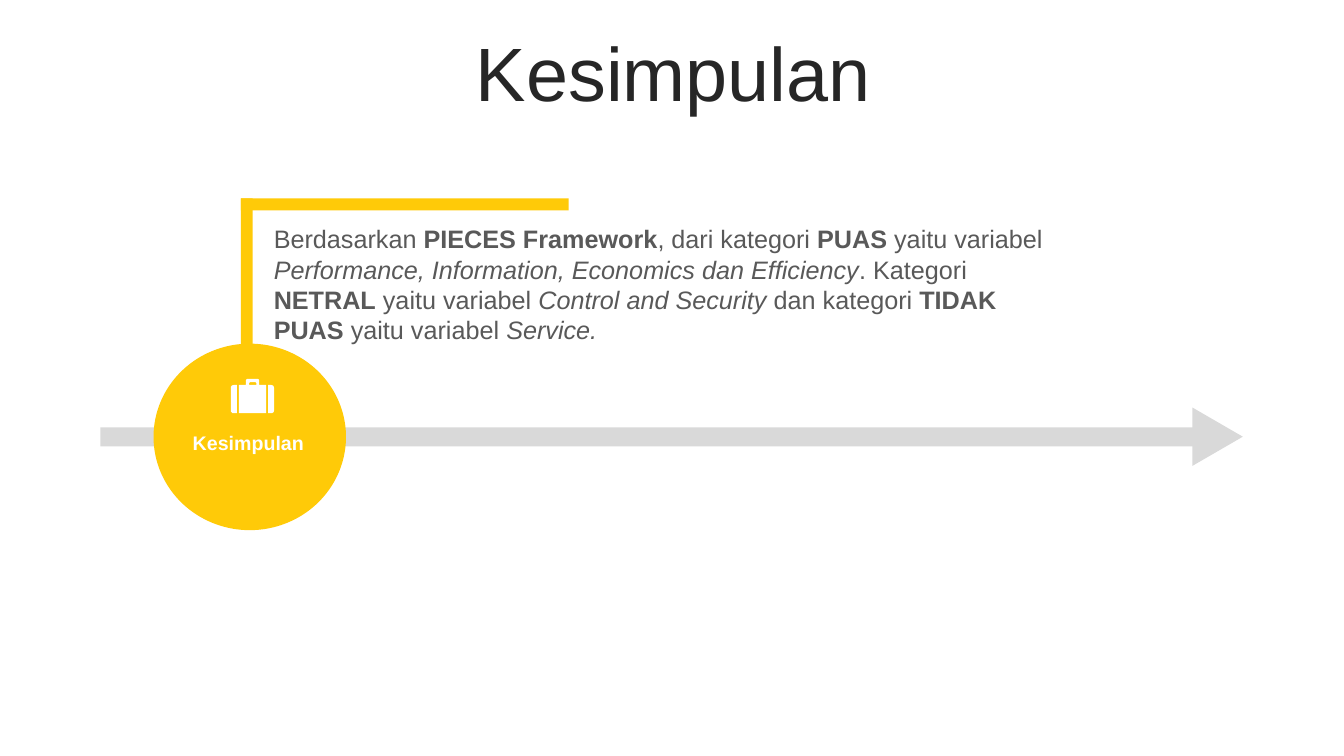
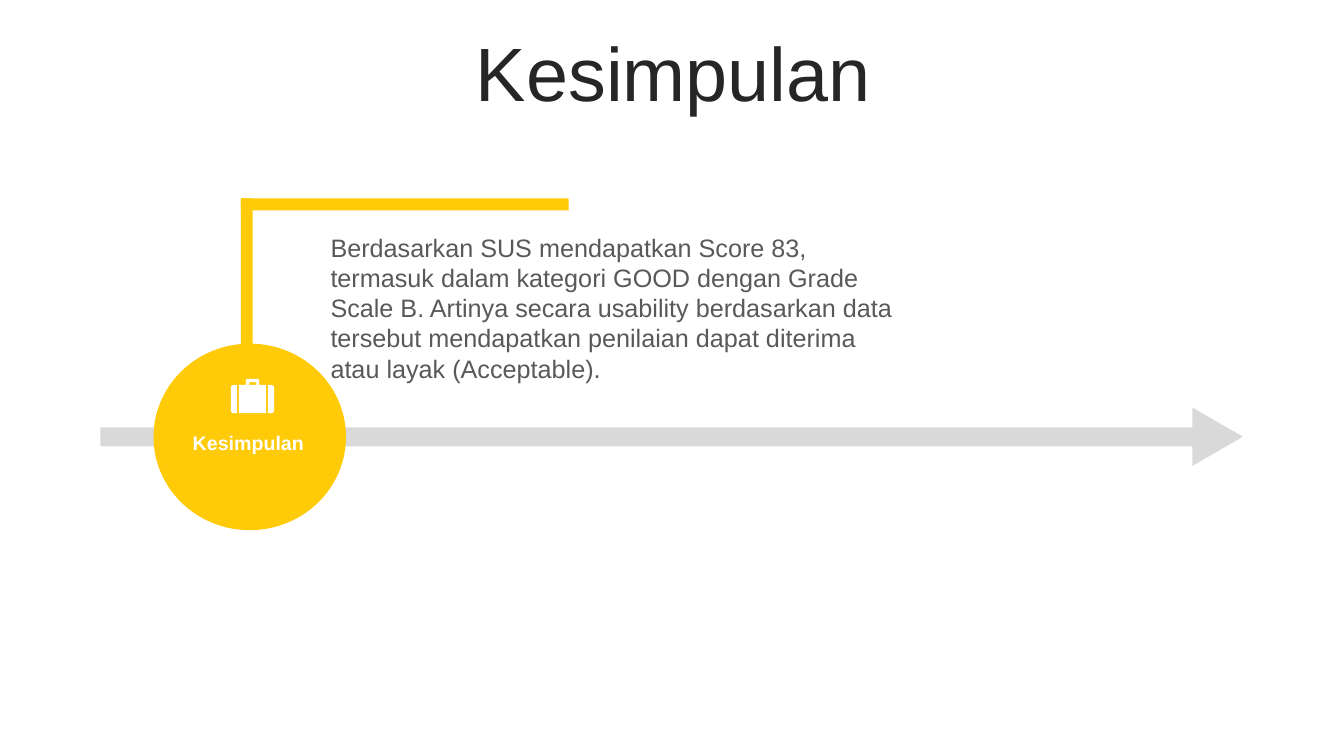
from pptx import Presentation
from pptx.dml.color import RGBColor
from pptx.enum.shapes import MSO_SHAPE
from pptx.enum.text import MSO_ANCHOR, MSO_AUTO_SIZE, PP_ALIGN
from pptx.util import Cm, Pt

RECTANGLE = MSO_SHAPE.RECTANGLE
OVAL = MSO_SHAPE.OVAL
TRIANGLE = MSO_SHAPE.ISOSCELES_TRIANGLE
LEFT, CENTER = PP_ALIGN.LEFT, PP_ALIGN.CENTER
MIDDLE = MSO_ANCHOR.MIDDLE
NO_AUTOFIT = MSO_AUTO_SIZE.NONE

YELLOW = RGBColor(0xFF, 0xCA, 0x08)
LIGHT_GRAY = RGBColor(0xD9, 0xD9, 0xD9)
TEXT_GRAY = RGBColor(0x59, 0x59, 0x59)
TITLE_GRAY = RGBColor(0x26, 0x26, 0x26)
WHITE = RGBColor(0xFF, 0xFF, 0xFF)

FONT = "Arial"
TITLE_ONLY = 5
BOLD = {"bold": True}
ITALIC = {"italic": True}

# Suitcase outlines: (x, y, corner radius), in hundredths of a centimetre
SUITCASE = [
    [(94, 15, 0), (109, 15, 8), (109, 86, 8), (94, 86, 0)],
    [(0, 15, 8), (15, 15, 0), (15, 86, 0), (0, 86, 8)],
    [(46, 8, 3), (46, 15, 0), (64, 15, 0), (64, 8, 3)],
    [(38, 0, 5), (71, 0, 5), (71, 15, 0), (89, 15, 0),
     (89, 86, 0), (20, 86, 0), (20, 15, 0), (38, 15, 0)],
]

CONCLUSIONS = [
    {
        "area": (6.65, 5.51, 20.5, 3.33),
        "spans": [
            ("Berdasarkan ", {}),
            ("PIECES Framework", BOLD),
            (", dari kategori ", {}),
            ("PUAS", BOLD),
            (" yaitu variabel ", {}),
            ("Performance, Information, Economics dan Efficiency", ITALIC),
            (". Kategori ", {}),
            ("NETRAL", BOLD),
            (" yaitu variabel ", {}),
            ("Control and Security", ITALIC),
            (" dan kategori ", {}),
            ("TIDAK PUAS ", BOLD),
            ("yaitu variabel ", {}),
            ("Service.", ITALIC),
        ],
    },
    {
        "area": (8.08, 5.72, 14.86, 4.11),
        "spans": [
            ("Berdasarkan SUS mendapatkan Score 83, termasuk dalam kategori "
             "GOOD dengan Grade Scale B. Artinya secara usability berdasarkan "
             "data tersebut mendapatkan penilaian dapat diterima atau layak "
             "(Acceptable).", {}),
        ],
    },
]


def add_span(para, text, size=18, color=TEXT_GRAY, bold=False, italic=False):
    span = para.add_run()
    span.text = text
    font = span.font
    font.name, font.size = FONT, Pt(size)
    font.bold, font.italic = bold, italic
    font.color.rgb = color


def round_corners(corners, steps=4):
    """Replace each corner that has a radius by points on a curve."""
    points = []
    for index, (x, y, radius) in enumerate(corners):
        if not radius:
            points.append((x, y))
            continue
        ends = []
        for other in (corners[index - 1], corners[(index + 1) % len(corners)]):
            run, rise = other[0] - x, other[1] - y
            share = radius / max(abs(run), abs(rise))
            ends.append((x + run * share, y + rise * share))
        (start_x, start_y), (end_x, end_y) = ends
        for step in range(steps + 1):
            t = step / steps
            a, b, c = (1 - t) ** 2, 2 * t * (1 - t), t ** 2
            points.append((a * start_x + b * x + c * end_x,
                           a * start_y + b * y + c * end_y))
    return points


class Deck:
    """Holds the shared style and the page being built."""

    def __init__(self):
        self.file = Presentation()
        self.file.slide_width, self.file.slide_height = Cm(33.87), Cm(19.05)
        self.page = None

    def add_page(self, title):
        layout = self.file.slide_layouts[TITLE_ONLY]
        self.page = self.file.slides.add_slide(layout)
        box = self.page.shapes.title
        box.left, box.top, box.width, box.height = map(
            Cm, (0.89, 0.94, 32.16, 2.01))
        frame = box.text_frame
        frame.auto_size, frame.vertical_anchor = NO_AUTOFIT, MIDDLE
        para = frame.paragraphs[0]
        para.alignment, para.line_spacing = CENTER, 0.9
        add_span(para, title, size=54, color=TITLE_GRAY)

    def paint(self, shape, color):
        shape.shadow.inherit = False
        shape.fill.solid()
        shape.fill.fore_color.rgb = color
        shape.line.fill.background()

    def add_shape(self, kind, area, color, rotation=0):
        shape = self.page.shapes.add_shape(kind, *map(Cm, area))
        shape.rotation = rotation
        self.paint(shape, color)

    def add_text(self, area, spans, align=LEFT, **style):
        box = self.page.shapes.add_textbox(*map(Cm, area))
        box.text_frame.word_wrap = True
        para = box.text_frame.paragraphs[0]
        para.alignment = align
        for text, emphasis in spans:
            add_span(para, text, **{**style, **emphasis})

    def add_suitcase(self, left, top):
        outlines = [round_corners(corners) for corners in SUITCASE]
        builder = self.page.shapes.build_freeform(
            *outlines[0][0], scale=Cm(0.01))
        for points in outlines:
            builder.move_to(*points[0])
            builder.add_line_segments(points[1:], close=True)
        self.paint(builder.convert_to_shape(Cm(left), Cm(top)), WHITE)

    def add_timeline(self, label):
        self.add_shape(RECTANGLE, (6.07, 5, 8.26, 0.3), YELLOW)
        self.add_shape(RECTANGLE, (6.07, 5, 0.3, 3.9), YELLOW)
        self.add_shape(RECTANGLE, (2.53, 10.77, 27.7, 0.48), LIGHT_GRAY)
        self.add_shape(OVAL, (3.87, 8.66, 4.85, 4.7), YELLOW)
        self.add_text((3.81, 10.74, 4.9, 0.86), [(label, BOLD)],
                      align=CENTER, size=14, color=WHITE)
        self.add_shape(TRIANGLE, (29.95, 10.37, 1.47, 1.27), LIGHT_GRAY,
                       rotation=90)
        self.add_suitcase(5.82, 9.55)


def main():
    deck = Deck()
    for conclusion in CONCLUSIONS:
        deck.add_page("Kesimpulan")
        deck.add_timeline("Kesimpulan")
        deck.add_text(conclusion["area"], conclusion["spans"])
    deck.file.save("out.pptx")


if __name__ == "__main__":
    main()
